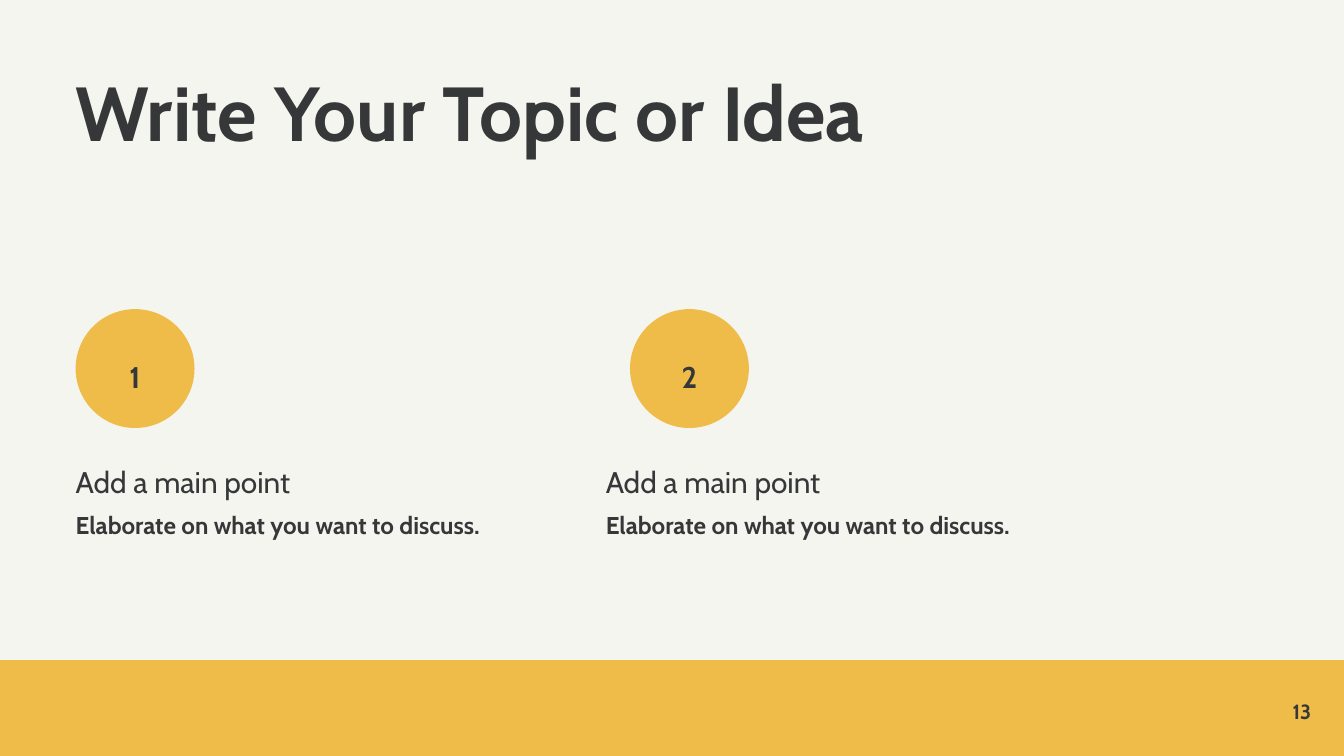
from pptx import Presentation
from pptx.dml.color import RGBColor
from pptx.enum.shapes import MSO_SHAPE as Shape
from pptx.enum.text import MSO_ANCHOR as Anchor, MSO_AUTO_SIZE as AutoSize, PP_ALIGN as Align
from pptx.oxml.ns import qn
from pptx.util import Pt

COLORS = {"paper": "F5F5EF", "ink": "363739", "accent": "EFBC49"}
FONT = "Cabin"
MARGIN = 40.5
CIRCLE_SIZE = 63.7
CIRCLE_TOP = 165.6


def rgb(role):
    """Return the colour for a role in the palette."""
    return RGBColor.from_string(COLORS[role])


def place(item, left, top, width, height):
    """Move and size an item, in points."""
    item.left, item.top, item.width, item.height = map(Pt, (left, top, width, height))


def style(font, size, bold):
    """Apply the slide's typeface and ink colour to a font."""
    font.name, font.size, font.bold = FONT, Pt(size), bold
    font.color.rgb = rgb("ink")


def prepare(frame, align, spacing, anchor=Anchor.TOP):
    """Clear the margins of a text frame and return its first paragraph."""
    frame.margin_left = frame.margin_top = frame.margin_right = frame.margin_bottom = 0
    frame.word_wrap = True
    frame.auto_size = AutoSize.NONE
    frame.vertical_anchor = anchor
    paragraph = frame.paragraphs[0]
    paragraph.alignment, paragraph.line_spacing = align, spacing
    paragraph.space_before = Pt(0)
    return paragraph


def write(frame, text, size, align, spacing, anchor=Anchor.TOP):
    """Write one bold line in a text frame."""
    line = prepare(frame, align, spacing, anchor)
    line.text = text
    style(line.font, size, True)


def add_label(slide, text, box, size, align, spacing, anchor=Anchor.TOP):
    """Add a free-standing text label."""
    label = slide.shapes.add_textbox(*map(Pt, box))
    write(label.text_frame, text, size, align, spacing, anchor)


def add_accent(slide, kind, box):
    """Add a plain shape in the accent colour."""
    accent = slide.shapes.add_shape(kind, *map(Pt, box))
    accent.shadow.inherit = False
    accent.fill.solid()
    accent.fill.fore_color.rgb = rgb("accent")
    accent.line.fill.background()


def add_number(slide, number, left):
    """Add a numbered circle."""
    add_accent(slide, Shape.OVAL, (left, CIRCLE_TOP, CIRCLE_SIZE, CIRCLE_SIZE))
    width = 30
    label_left = left + (CIRCLE_SIZE - width) / 2
    add_label(slide, number, (label_left, 187.2, width, 19.5), 16, Align.CENTER, 1.25)


def fill_point(body, left, heading, detail):
    """Fill a body placeholder with a heading and its detail."""
    place(body, left, 240.5, 249, 110)
    point = prepare(body.text_frame, Align.LEFT, 1.4)
    properties = point._p.get_or_add_pPr()
    properties.set("marL", "0")
    properties.set("indent", "0")
    properties.append(properties.makeelement(qn("a:buNone"), {}))
    heading_run = point.add_run()
    heading_run.text = heading
    style(heading_run.font, 16, False)
    point.add_line_break()
    detail_run = point.add_run()
    detail_run.text = detail
    style(detail_run.font, 13, True)


def main():
    """Build the slide and save it."""
    deck = Presentation()
    deck.slide_width, deck.slide_height = Pt(720), Pt(405)
    slide = deck.slides.add_slide(deck.slide_layouts[3])
    slide.background.fill.solid()
    slide.background.fill.fore_color.rgb = rgb("paper")

    title, *bodies = slide.placeholders
    place(title, MARGIN, 40.5, 510.5, 57)
    write(title.text_frame, "Write Your Topic or Idea", 41, Align.LEFT, 0.9)

    for number, left in (("1", MARGIN), ("2", 337.5)):
        add_number(slide, number, left)
    add_accent(slide, Shape.RECTANGLE, (0, 353.6, 720, 51.4))
    for body, left in zip(bodies, (MARGIN, 324.5)):
        fill_point(body, left, "Add a main point", "Elaborate on what you want to discuss.")
    add_label(slide, "13", (659.5, 374, 43, 14.4), 11, Align.RIGHT, 1.0, Anchor.MIDDLE)

    deck.save("out.pptx")


if __name__ == "__main__":
    main()
